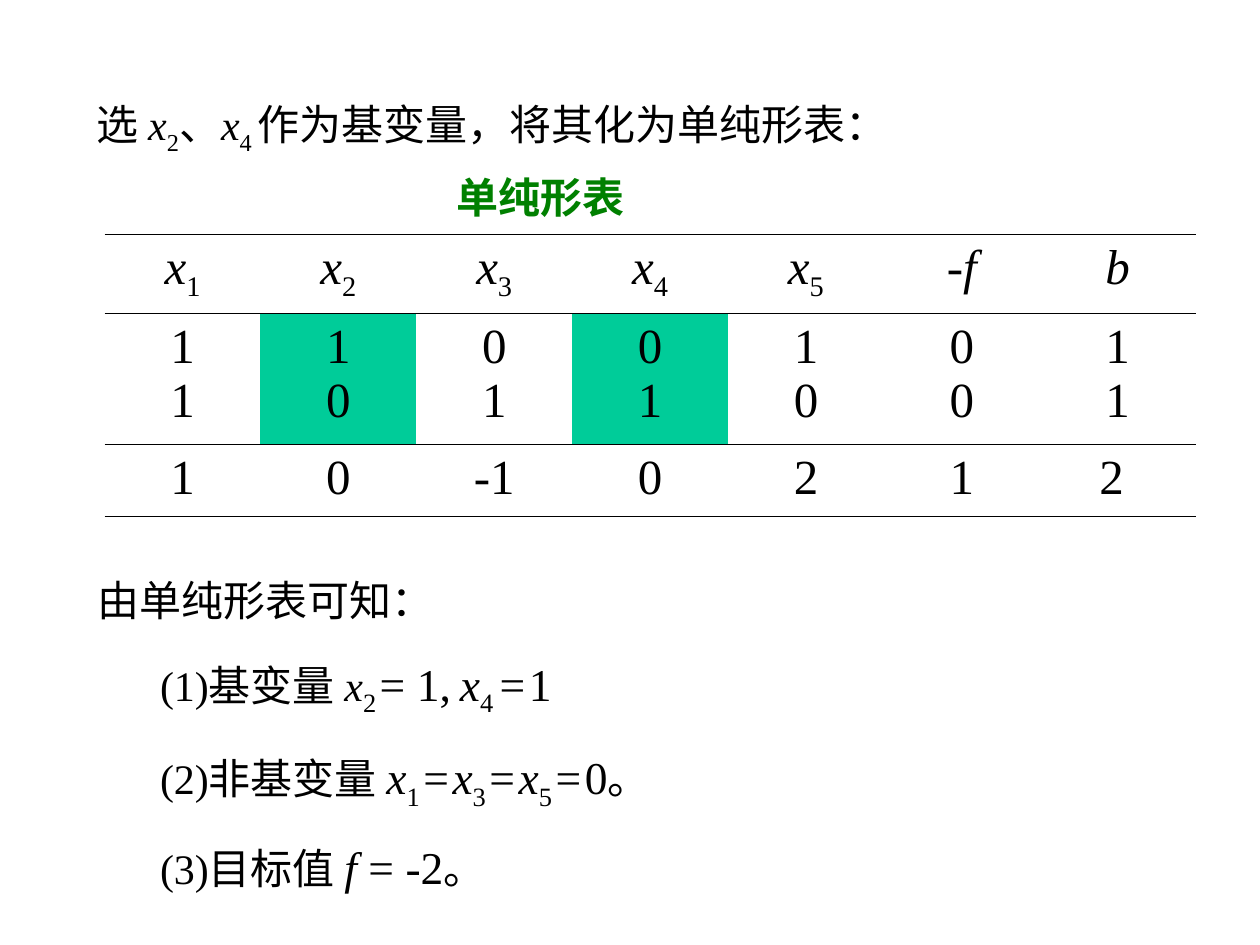
from lxml import etree
from pptx import Presentation
from pptx.dml.color import RGBColor
from pptx.enum.text import MSO_ANCHOR, MSO_AUTO_SIZE, PP_ALIGN
from pptx.oxml import parse_xml
from pptx.oxml.ns import nsdecls, qn
from pptx.util import Inches, Pt

FACE = "Times New Roman"
MINT = "00CC99"
ITAL = {"italic": True}
SUB = {"base": -25}
THIN = {"size": Pt(8)}


def color(code):
    return RGBColor.from_string(code)


def var(num):
    """Runs for x with a subscript."""
    return [("x", ITAL), (num, SUB)]


def equal(val):
    """Runs for a tightly spaced equals sign and what follows it."""
    return [(" ", THIN), ("=", {}), (" ", THIN), *val]


def put(par, runs, size=24, ink="000000", align=PP_ALIGN.JUSTIFY, **form):
    """Fill a paragraph with (text, style) runs."""
    props = par._p.get_or_add_pPr()
    props.set("marL", str(form.pop("left", 0)))
    props.set("indent", str(form.pop("indent", 0)))
    look = {"alignment": align, "space_before": Pt(0), **form}
    for key, val in look.items():
        setattr(par, key, val)
    etree.SubElement(props, qn("a:buNone"))
    for text, style in runs:
        run = par.add_run()
        run.text = text
        style = {"name": FACE, "size": Pt(size), "bold": False, **style}
        base = style.pop("base", 0)
        for key, val in style.items():
            setattr(run.font, key, val)
        run.font.color.rgb = color(ink)
        if base:
            run._r.get_or_add_rPr().set("baseline", str(base * 1000))


def place(shape, box):
    """Move a text shape to its box and return its frame."""
    for key, val in zip(("left", "top", "width", "height"), box):
        setattr(shape, key, Inches(val))
    frame = shape.text_frame
    look = {"word_wrap": True, "auto_size": MSO_AUTO_SIZE.NONE,
            "vertical_anchor": MSO_ANCHOR.TOP}
    for key, val in look.items():
        setattr(frame, key, val)
    return frame


def add_title(slide, box):
    frame = place(slide.shapes.title, box)
    put(frame.paragraphs[0], [("单纯形表", {"bold": True})],
        ink="008000", align=PP_ALIGN.LEFT)


def add_intro(slide, box):
    frame = place(slide.shapes.add_textbox(0, 0, 0, 0), box)
    runs = [("选 ", {}), *var("2"), ("、", {}), *var("4 "),
            ("作为基变量，将其化为单纯形表：", {})]
    put(frame.paragraphs[0], runs, left=Inches(0.38), indent=-Inches(0.38),
        line_spacing=1.3)


def rule(cell):
    """Thin lines above and below a cell, none at its sides."""
    props = cell._tc.get_or_add_tcPr()
    line = '<a:solidFill><a:srgbClr val="000000"/></a:solidFill>'
    for spot, side in enumerate("LRTB"):
        fill = line if side in "TB" else "<a:noFill/>"
        props.insert(spot, parse_xml(
            f'<a:ln{side} {nsdecls("a")} w="{Pt(0.45)}">{fill}</a:ln{side}>'))


def add_grid(slide, box):
    head = [var(str(n)) for n in range(1, 6)]
    head += [[("-f", ITAL)], [("b", ITAL)]]
    mid = [[[(digit, {})] for digit in pair]
           for pair in ("11", "10", "01", "01", "10", "00", "11")]
    foot = [[[(num, {})]] for num in ("1", "0", "-1", "0", "2", "1", "2 ")]
    rows = [[[runs] for runs in head], mid, foot]

    grid = slide.shapes.add_table(3, 7, *map(Inches, box)).table
    for flag in ("first_row", "horz_banding"):
        setattr(grid, flag, False)
    for col in grid.columns:
        col.width = Inches(box[2] / 7)
    for row, high in zip(grid.rows, (0.63, 1.04, 0.57)):
        row.height = Inches(high)
    for r, row in enumerate(rows):
        for c, lines in enumerate(row):
            cell = grid.cell(r, c)
            if r == 1 and c in (1, 3):
                cell.fill.solid()
                cell.fill.fore_color.rgb = color(MINT)
            else:
                cell.fill.background()
            rule(cell)
            frame = cell.text_frame
            for n, runs in enumerate(lines):
                par = frame.add_paragraph() if n else frame.paragraphs[0]
                put(par, runs, size=28, align=PP_ALIGN.CENTER)


def add_facts(slide, box):
    frame = place(slide.placeholders[1], box)
    text = {"size": Pt(24)}
    stop = ("。", text)
    zero = [*var("1"), *equal(var("3")), *equal(var("5")),
            *equal([("0", {})]), stop]
    facts = [
        [("由单纯形表可知：", text)],
        [("(1)基变量 ", text), ("x", {**ITAL, **text}), ("2", SUB),
         (" ", THIN), ("= 1,", {}), (" ", {"size": Pt(20)}),
         *var("4 "), ("=", {}), (" ", THIN), ("1", {})],
        [("(2)非基变量 ", text), *zero],
        [("(3)目标值 ", text), ("f ", ITAL), ("= -2", {}), stop],
    ]
    for n, runs in enumerate(facts):
        par = frame.add_paragraph() if n else frame.paragraphs[0]
        put(par, runs, size=26, left=Inches(0.5 if n else 0),
            line_spacing=1.5)


def main():
    deck = Presentation()
    deck.slide_width, deck.slide_height = Inches(10), Inches(7.5)
    slide = deck.slides.add_slide(deck.slide_layouts[1])
    add_title(slide, (3.52, 1.31, 1.7, 0.5))
    add_intro(slide, (0.67, 0.6, 8.5, 0.55))
    add_grid(slide, (0.83, 1.86, 8.66, 2.24))
    add_facts(slide, (0.67, 4.31, 8.5, 2.75))
    deck.save("out.pptx")


if __name__ == "__main__":
    main()
